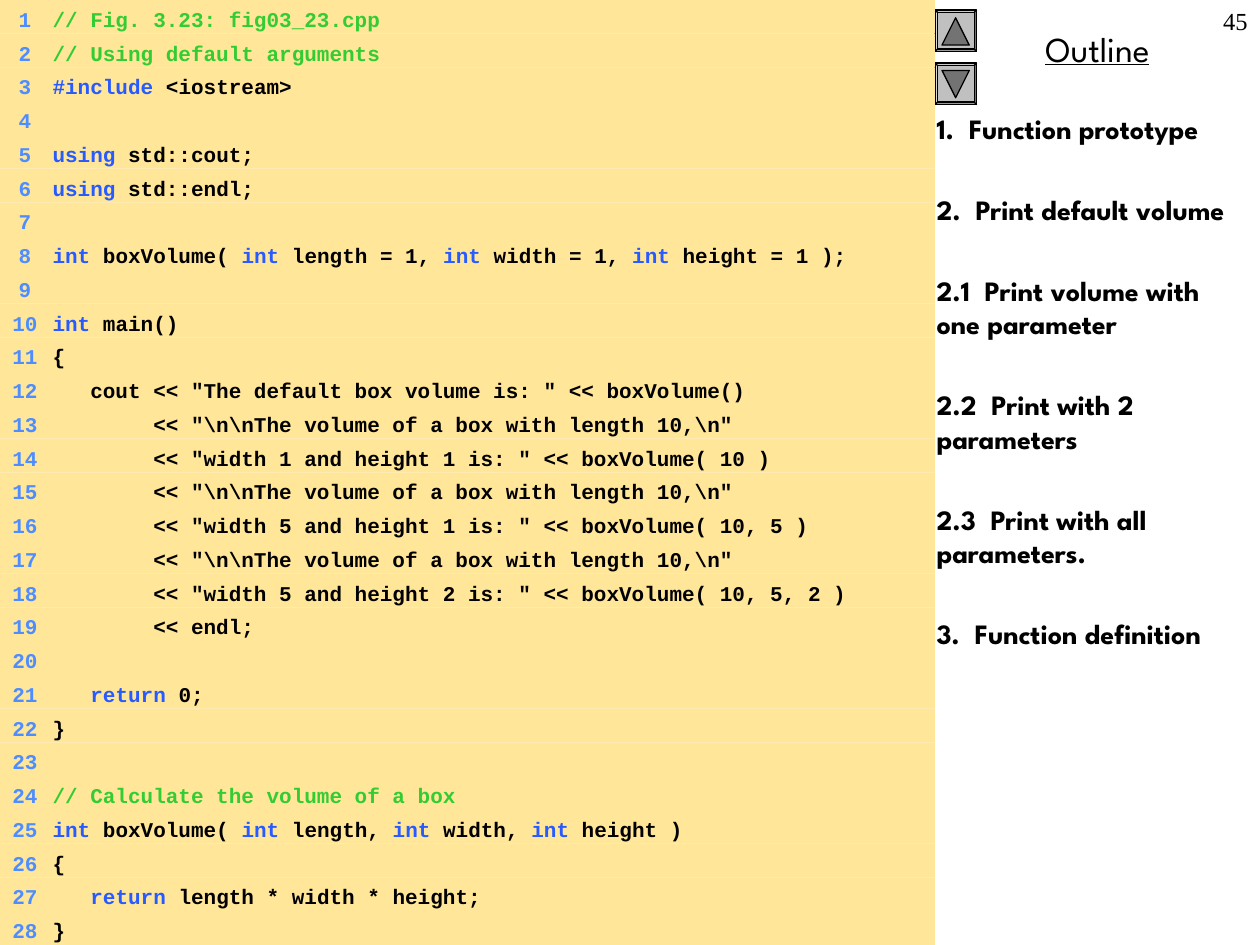
from dataclasses import dataclass

from lxml.etree import SubElement
from pptx import Presentation
from pptx.dml.color import RGBColor as RGB
from pptx.enum.shapes import MSO_SHAPE as Shape
from pptx.enum.text import MSO_ANCHOR as Anchor, PP_ALIGN as Align
from pptx.oxml.ns import qn
from pptx.util import Cm, Pt


@dataclass(frozen=True)
class Theme:
    code_font: str = "Courier New"
    outline_font: str = "League Spartan"
    number_font: str = "Times New Roman"
    code_size: int = 12
    title_size: int = 20
    item_size: int = 16
    number_size: int = 14
    text: str = "000000"
    row: str = "FFE699"
    line_number: str = "4D8DFF"
    keyword: str = "275AFF"
    comment: str = "33CC33"
    button: str = "C0C0C0"
    arrow: str = "737373"


theme = Theme()

# Keywords stand between bars.
CODE = r'''// Fig. 3.23: fig03_23.cpp
// Using default arguments
|#include| <iostream>

|using| std::cout;
|using| std::endl;

|int| boxVolume( |int| length = 1, |int| width = 1, |int| height = 1 );

|int| main()
{
   cout << "The default box volume is: " << boxVolume()
        << "\n\nThe volume of a box with length 10,\n"
        << "width 1 and height 1 is: " << boxVolume( 10 )
        << "\n\nThe volume of a box with length 10,\n"
        << "width 5 and height 1 is: " << boxVolume( 10, 5 )
        << "\n\nThe volume of a box with length 10,\n"
        << "width 5 and height 2 is: " << boxVolume( 10, 5, 2 )
        << endl;

   |return| 0;
}

// Calculate the volume of a box
|int| boxVolume( |int| length, |int| width, |int| height )
{
   |return| length * width * height;
}'''.split("\n")

OUTLINE = [
    "1.  Function prototype",
    "2.  Print default volume",
    "2.1  Print volume with one parameter",
    "2.2  Print with 2 parameters",
    "2.3  Print with all parameters.",
    "3.  Function definition",
]


def add_run(paragraph, text, font, size, color=theme.text, bold=False):
    run = paragraph.add_run()
    run.text = text
    run.font.name = font
    run.font.size = Pt(size)
    run.font.bold = bold
    run.font.color.rgb = RGB.from_string(color)
    return run


def set_frame(shape):
    """Give the text of a shape the common insets, wrapping and top anchor."""
    frame = shape.text_frame
    frame.word_wrap = True
    frame.vertical_anchor = Anchor.TOP
    frame.margin_left = frame.margin_right = Cm(0.25)
    frame.margin_top = frame.margin_bottom = Cm(0.13)
    return frame


presentation = Presentation()
presentation.slide_width, presentation.slide_height = Cm(25.4), Cm(19.05)
slide = presentation.slides.add_slide(presentation.slide_layouts[5])

# Title
title = slide.shapes.title
title.left, title.top, title.width, title.height = Cm(18.85), Cm(0.43), Cm(6.55), Cm(1.12)
paragraph = set_frame(title).paragraphs[0]
paragraph.alignment = Align.CENTER
add_run(paragraph, "Outline", theme.outline_font, theme.title_size).font.underline = True

# Up and down buttons
for top, arrow_top, rotation in ((0.2, 0.36, 0), (1.27, 1.42, 180)):
    button = slide.shapes.add_shape(Shape.BEVEL, Cm(18.85), Cm(top), Cm(0.84), Cm(0.84))
    button.adjustments[0] = 0.06
    arrow = slide.shapes.add_shape(
        Shape.ISOSCELES_TRIANGLE, Cm(18.99), Cm(arrow_top), Cm(0.55), Cm(0.55))
    arrow.rotation = rotation
    for shape, color in ((button, theme.button), (arrow, theme.arrow)):
        shape.shadow.inherit = False
        shape.fill.solid()
        shape.fill.fore_color.rgb = RGB.from_string(color)
        shape.line.color.rgb = RGB.from_string(theme.text)
        shape.line.width = Pt(0.75)

# Outline items
outline = slide.shapes.add_textbox(Cm(18.63), Cm(2.12), Cm(6.77), Cm(16.93))
frame = set_frame(outline)
for index, item in enumerate(OUTLINE):
    paragraph = frame.add_paragraph() if index else frame.paragraphs[0]
    paragraph.space_before = Pt(27 if index else 4)
    add_run(paragraph, item, theme.outline_font, theme.item_size, bold=True)

# Code listing, one row a line
listing = slide.shapes.add_group_shape()
row_height = presentation.slide_height / len(CODE)
for index, code in enumerate(CODE):
    top = round(index * row_height)
    row = listing.shapes.add_shape(
        Shape.RECTANGLE, 0, top, Cm(18.85), round((index + 1) * row_height) - top)
    row.shadow.inherit = False
    row.fill.solid()
    row.fill.fore_color.rgb = RGB.from_string(theme.row)
    row.line.fill.background()
    paragraph = set_frame(row).paragraphs[0]
    paragraph.alignment = Align.LEFT
    tabs = SubElement(paragraph._p.get_or_add_pPr(), qn("a:tabLst"))
    for position, alignment in ((0.38, "r"), (0.81, "l")):
        SubElement(tabs, qn("a:tab"), pos=str(Cm(position)), algn=alignment)
    add_run(paragraph, f"\t{index + 1}\t", theme.code_font, theme.code_size,
            theme.line_number, True)
    plain = theme.comment if code.startswith("//") else theme.text
    for part, text in enumerate(code.split("|")):
        if text:
            color = theme.keyword if part % 2 else plain
            add_run(paragraph, text, theme.code_font, theme.code_size, color, True)

# Slide number
number = slide.shapes.add_textbox(Cm(20.11), 0, Cm(5.29), Cm(1.27))
paragraph = set_frame(number).paragraphs[0]
paragraph.alignment = Align.RIGHT
add_run(paragraph, "45", theme.number_font, theme.number_size)

presentation.save("out.pptx")
